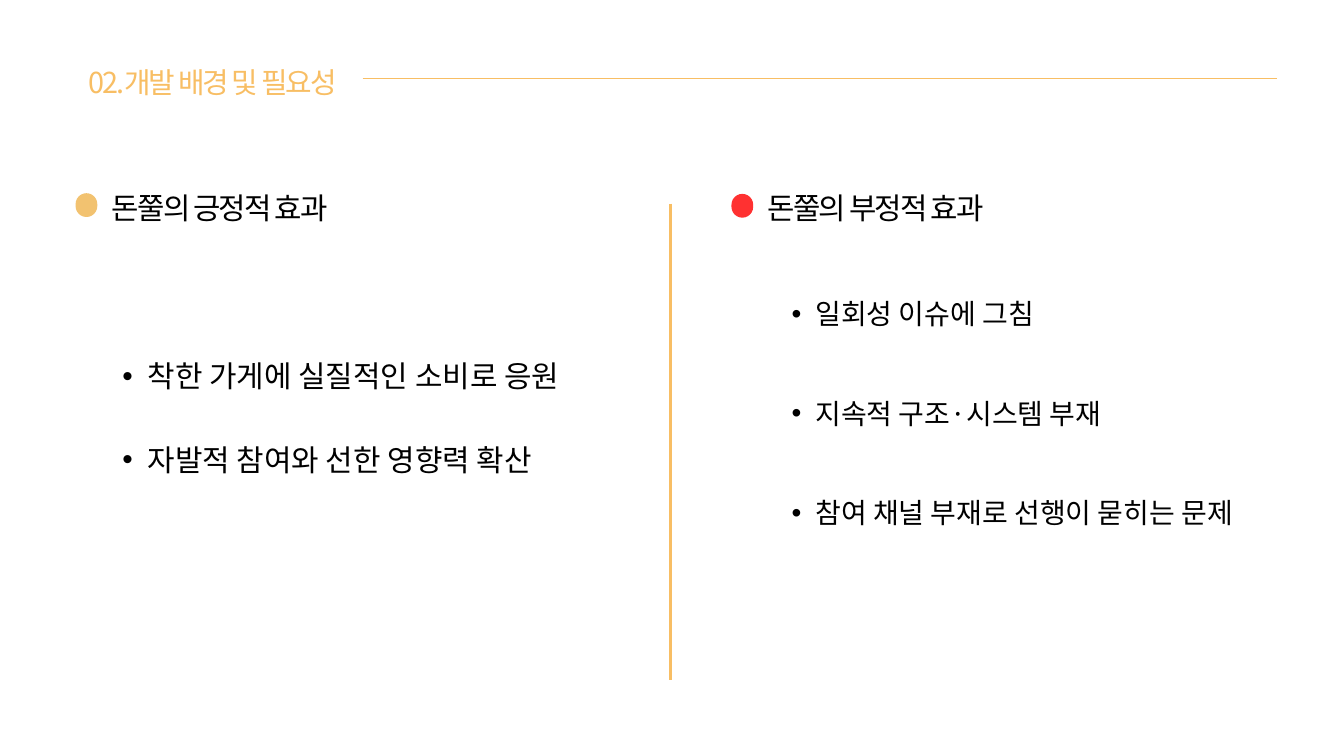
"""Build the slide on the good and bad effects of 돈쭐."""
import pptx
import pptx.dml.color
import pptx.enum.shapes
import pptx.enum.text
import pptx.oxml.ns
import pptx.util
from lxml import etree

PX = 9525
FONT = "Noto Sans CJK KR"
GOLD = pptx.dml.color.RGBColor(0xF8, 0xBE, 0x64)
SAND = pptx.dml.color.RGBColor(0xF2, 0xC2, 0x70)
RED = pptx.dml.color.RGBColor(0xFF, 0x31, 0x31)
BLACK = pptx.dml.color.RGBColor(0, 0, 0)
qn = pptx.oxml.ns.qn


def write(box, area, lines, size, lead, color, gap=0, indent=0, track=0):
    box.left, box.top, box.width, box.height = [n * PX for n in area]
    frame = box.text_frame
    frame.margin_left = frame.margin_right = 0
    frame.margin_top = frame.margin_bottom = 0
    frame.word_wrap = True
    frame.auto_size = pptx.enum.text.MSO_AUTO_SIZE.NONE
    frame.vertical_anchor = pptx.enum.text.MSO_ANCHOR.TOP
    frame.text = "\n".join(lines)
    for i, para in enumerate(frame.paragraphs):
        para.alignment = pptx.enum.text.PP_ALIGN.LEFT
        para.line_spacing = pptx.util.Pt(lead)
        para.space_before = pptx.util.Pt(gap if i else 0)
        props = para._p.get_or_add_pPr()
        if indent:
            props.set("marL", str(2 * indent * PX))
            props.set("indent", str(-indent * PX))
            etree.SubElement(props, qn("a:buChar"), char="•")
        font = para.font
        font.name = FONT
        font.size = pptx.util.Pt(size)
        font.bold = False
        font.color.rgb = color
        base = props.find(qn("a:defRPr"))
        base.set("spc", str(track))
        etree.SubElement(base, qn("a:ea"), typeface=FONT)


deck = pptx.Presentation()
deck.slide_width = 1920 * PX
deck.slide_height = 1080 * PX
slide = deck.slides.add_slide(deck.slide_layouts.get_by_name("Comparison"))
shapes = slide.shapes
title, head_l, list_l, head_r, list_r = slide.placeholders

write(title, (126, 84, 393, 56), ["02.개발 배경 및 필요성"], 30.9, 43.3, GOLD, track=-200)

for box, left, text in (
    (head_l, 160, "돈쭐의 긍정적 효과"),
    (head_r, 1097, "돈쭐의 부정적 효과"),
):
    write(box, (left, 262, 455, 58), [text], 31.9, 44.7, BLACK, track=-200)

good = ["착한 가게에 실질적인 소비로 응원", "자발적 참여와 선한 영향력 확산"]
bad = ["일회성 이슈에 그침", "지속적 구조·시스템 부재", "참여 채널 부재로 선행이 묻히는 문제"]
write(list_l, (139, 503, 698, 176), good, 32, 44.8, BLACK, gap=44.8, indent=36)
write(list_r, (1097, 416, 688, 340), bad, 30, 42, BLACK, gap=64.5, indent=34)

for left, top, color in ((108, 276, SAND), (1045, 277, RED)):
    dot = shapes.add_shape(
        pptx.enum.shapes.MSO_SHAPE.ROUNDED_RECTANGLE,
        left * PX, top * PX, 31 * PX, 34 * PX,
    )
    dot.adjustments[0] = 0.5
    dot.shadow.inherit = False
    dot.fill.solid()
    dot.fill.fore_color.rgb = color
    dot.line.fill.background()

for ends, width in (((518, 112, 1824, 112), 0.75), ((958, 291, 958, 972), 3)):
    rule = shapes.add_connector(
        pptx.enum.shapes.MSO_CONNECTOR.STRAIGHT, *[n * PX for n in ends]
    )
    rule.line.color.rgb = GOLD
    rule.line.width = pptx.util.Pt(width)
    etree.SubElement(rule._element.spPr, qn("a:effectLst"))

deck.save("out.pptx")
